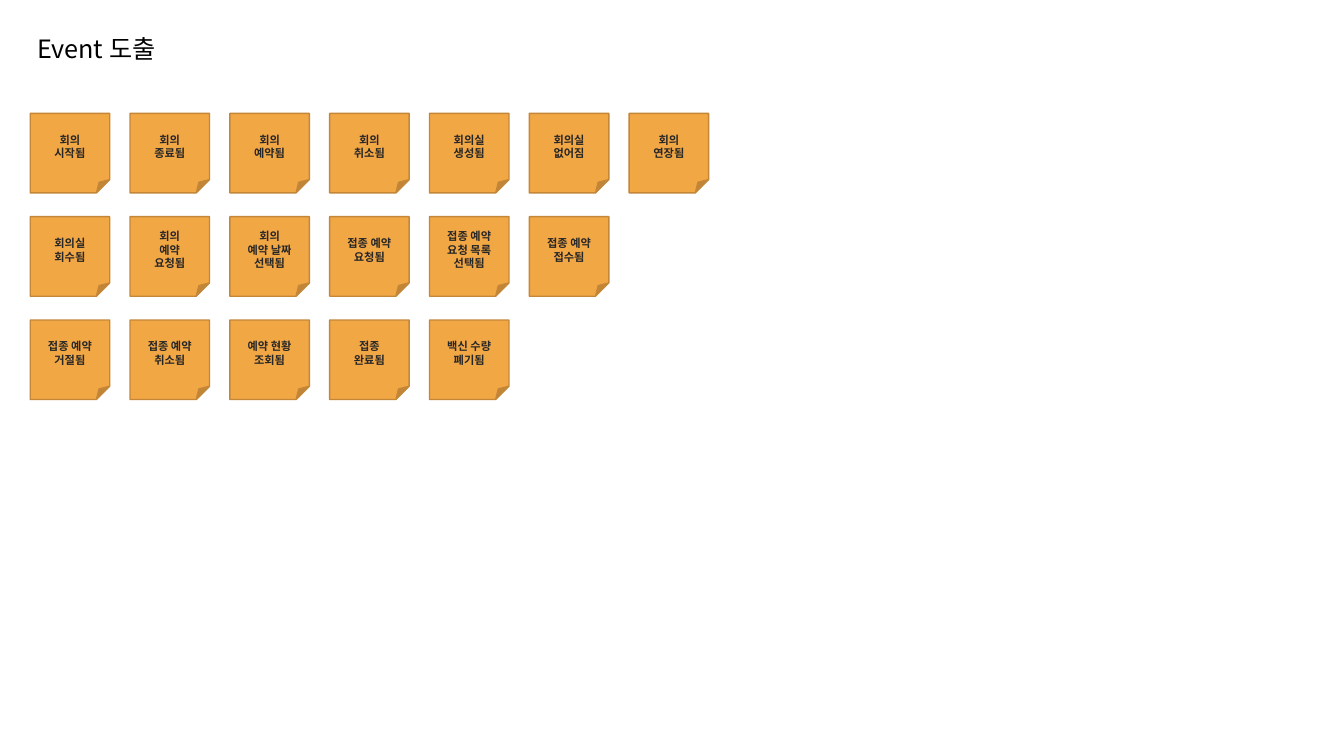
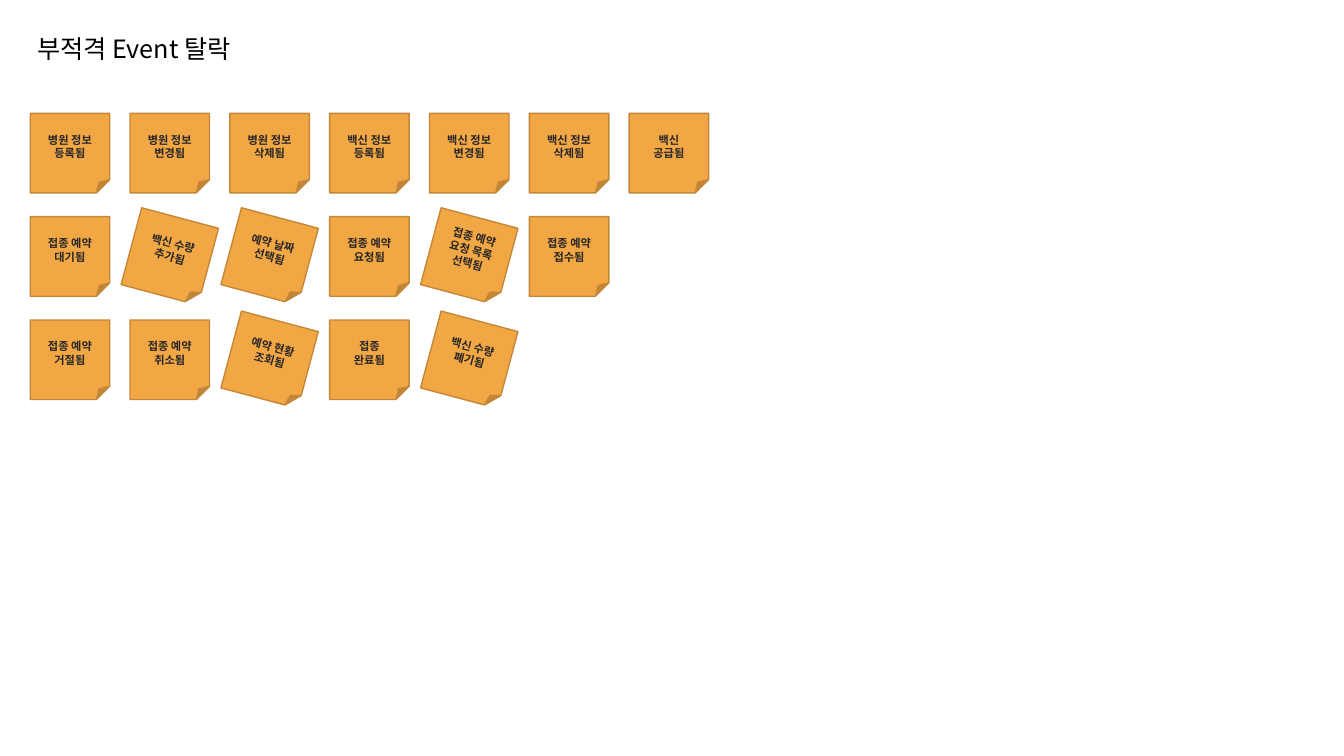
"""Build two event-storming slides of sticky notes, with rejected events tilted."""
import dataclasses

import lxml.etree
import pptx
import pptx.dml.color
import pptx.enum.shapes
import pptx.enum.text
import pptx.oxml.ns
import pptx.presentation
import pptx.slide
import pptx.text.text
import pptx.util

Pt = pptx.util.Pt
ALIGN = pptx.enum.text.PP_ALIGN
FONT = "Noto Sans CJK KR"
COLORS = {"paper": "F2A745", "edge": "C48738", "note": "262626", "title": "000000"}

NOTE_SIZE = 56.8
GRID_LEFT, GRID_TOP = 21.6, 81
COLUMN_STEP, ROW_STEP = 71.3, 73.8
TILT = 15


@dataclasses.dataclass(frozen=True)
class Note:
    text: str
    rejected: bool = False


@dataclasses.dataclass(frozen=True)
class Board:
    title: str
    title_width: float
    rows: list[list[Note]]


BOARDS = [
    Board("Event 도출", 102.2, [
        [Note("회의\n시작됨"), Note("회의\n종료됨"), Note("회의\n예약됨"), Note("회의\n취소됨"),
         Note("회의실\n생성됨"), Note("회의실\n없어짐"), Note("회의\n연장됨")],
        [Note("회의실\n회수됨"), Note("회의\n예약\n요청됨"), Note("회의\n예약 날짜\n선택됨"),
         Note("접종 예약 요청됨"), Note("접종 예약 요청 목록\n선택됨"), Note("접종 예약 접수됨")],
        [Note("접종 예약 거절됨"), Note("접종 예약 취소됨"), Note("예약 현황\n조회됨"),
         Note("접종\n완료됨"), Note("백신 수량\n폐기됨")],
    ]),
    Board("부적격 Event 탈락", 162.7, [
        [Note("병원 정보\n등록됨"), Note("병원 정보\n변경됨"), Note("병원 정보\n삭제됨"),
         Note("백신 정보\n등록됨"), Note("백신 정보\n변경됨"), Note("백신 정보\n삭제됨"),
         Note("백신\n공급됨")],
        [Note("접종 예약\n대기됨"), Note("백신 수량 추가됨", rejected=True),
         Note("예약 날짜\n선택됨", rejected=True), Note("접종 예약 요청됨"),
         Note("접종 예약 요청 목록\n선택됨", rejected=True), Note("접종 예약 접수됨")],
        [Note("접종 예약 거절됨"), Note("접종 예약 취소됨"),
         Note("예약 현황\n조회됨", rejected=True), Note("접종\n완료됨"),
         Note("백신 수량\n폐기됨", rejected=True)],
    ]),
]


def rgb(name: str) -> pptx.dml.color.RGBColor:
    return pptx.dml.color.RGBColor.from_string(COLORS[name])


def write_text(frame: pptx.text.text.TextFrame, text: str, *, size: float, color: str,
               bold: bool = False, align: ALIGN = ALIGN.LEFT) -> None:
    frame.word_wrap = True
    for index, line in enumerate(text.split("\n")):
        paragraph = frame.add_paragraph() if index else frame.paragraphs[0]
        paragraph.alignment = align
        run = paragraph.add_run()
        run.text = line
        run.font.name = FONT
        run.font.size = Pt(size)
        run.font.bold = bold
        run.font.color.rgb = rgb(color)
        east_asian = lxml.etree.SubElement(run.font._element, pptx.oxml.ns.qn("a:ea"))
        east_asian.set("typeface", FONT)


def draw_title(slide: pptx.slide.Slide, board: Board) -> None:
    title = slide.shapes.add_textbox(Pt(19.4), Pt(20.2), Pt(board.title_width), Pt(29))
    title.text_frame.auto_size = pptx.enum.text.MSO_AUTO_SIZE.SHAPE_TO_FIT_TEXT
    write_text(title.text_frame, board.title, size=18, color="title")


def draw_note(slide: pptx.slide.Slide, note: Note, row: int, column: int) -> None:
    sticky = slide.shapes.add_shape(
        pptx.enum.shapes.MSO_SHAPE.FOLDED_CORNER,
        Pt(GRID_LEFT + column * COLUMN_STEP), Pt(GRID_TOP + row * ROW_STEP),
        Pt(NOTE_SIZE), Pt(NOTE_SIZE))
    sticky.shadow.inherit = False
    sticky.fill.solid()
    sticky.fill.fore_color.rgb = rgb("paper")
    sticky.line.color.rgb = rgb("edge")
    sticky.line.width = Pt(1)
    sticky.rotation = TILT if note.rejected else 0
    sticky.text_frame.vertical_anchor = pptx.enum.text.MSO_ANCHOR.MIDDLE
    write_text(sticky.text_frame, note.text, size=8, color="note", bold=True,
               align=ALIGN.CENTER)


def draw_board(deck: pptx.presentation.Presentation, board: Board) -> None:
    slide = deck.slides.add_slide(deck.slide_layouts[6])
    draw_title(slide, board)
    for row, notes in enumerate(board.rows):
        for column, note in enumerate(notes):
            draw_note(slide, note, row, column)


def main() -> None:
    deck = pptx.Presentation()
    deck.slide_width, deck.slide_height = Pt(960), Pt(540)
    for board in BOARDS:
        draw_board(deck, board)
    deck.save("out.pptx")


if __name__ == "__main__":
    main()
